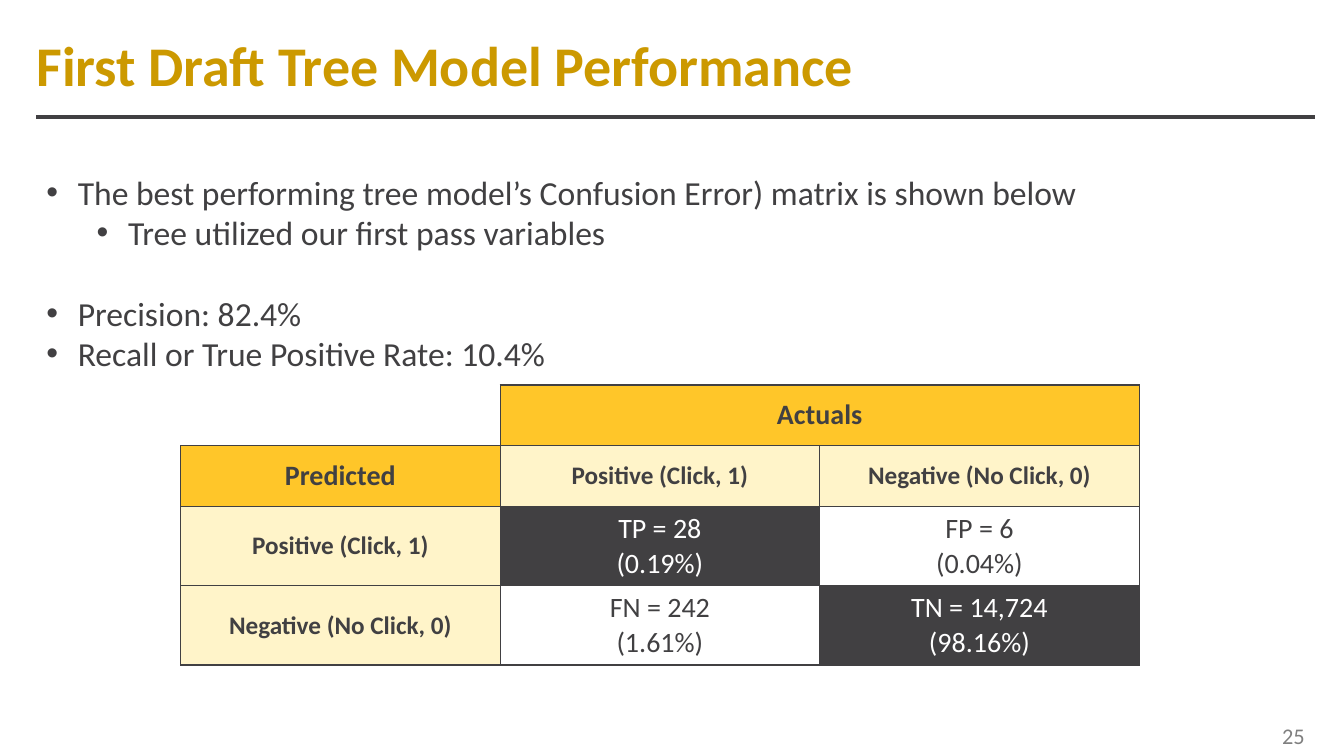
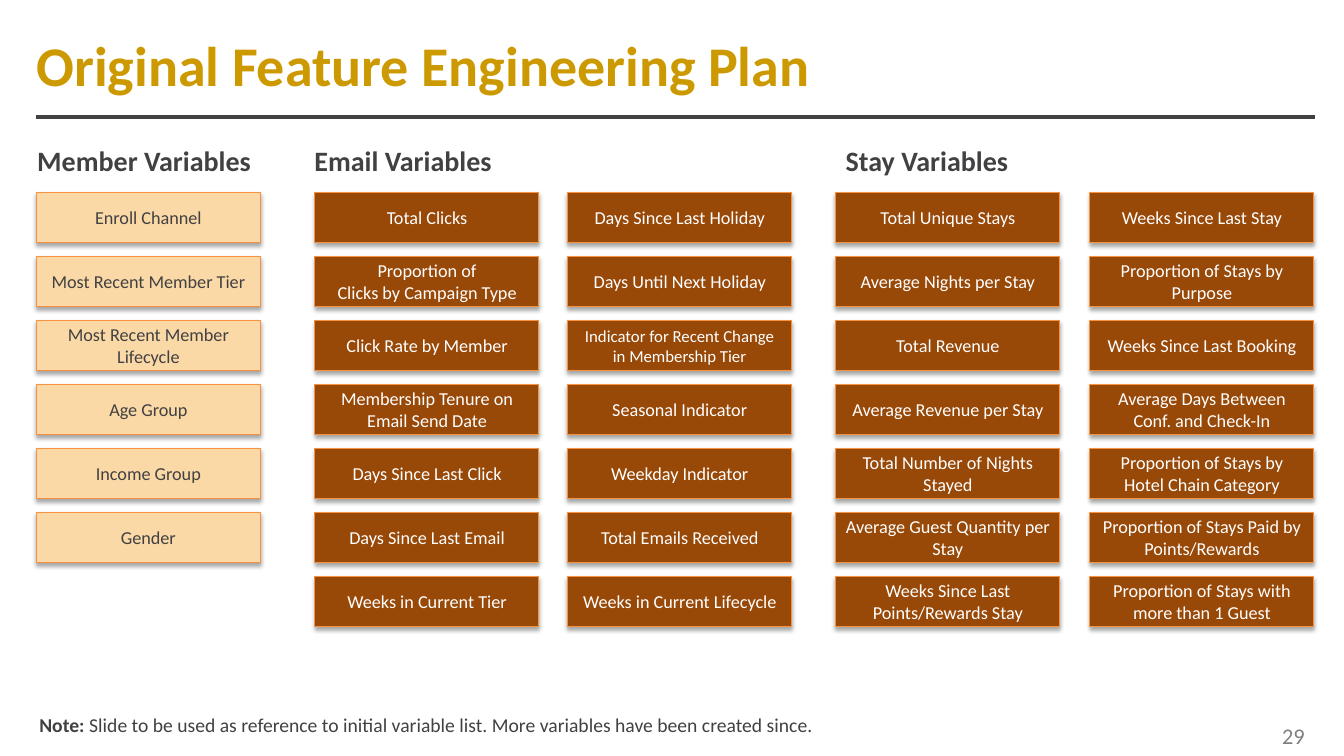
from lxml import etree
from pptx import Presentation
from pptx.dml.color import RGBColor
from pptx.enum.shapes import MSO_CONNECTOR as CONN, MSO_SHAPE as SHAPE
from pptx.enum.text import MSO_ANCHOR as ANCHOR, PP_ALIGN as ALIGN
from pptx.oxml.ns import qn
from pptx.util import Pt

FONT = "Calibri"
INK, WHITE, GRAY, GOLD = "414042", "FFFFFF", "808080", "CC9900"
AMBER, CREAM = "FFC629", "FFF4C9"
BROWN, PEACH, ORANGE = "984807", "FBD9A6", "F69240"
LEFT, RIGHT = 26, 939


def rgb(value):
    return RGBColor.from_string(value)


def child(parent, tag, **attrs):
    return etree.SubElement(parent, qn(tag), **attrs)


class Deck:
    def __init__(self):
        self.prs = Presentation()
        self.prs.slide_width, self.prs.slide_height = Pt(960), Pt(540)
        self.s = None

    def slide(self, title, number):
        self.s = self.prs.slides.add_slide(self.prs.slide_layouts[6])
        self.rule(LEFT, 83.5, RIGHT)
        tf = self.box(LEFT, 16, 805, 59, ANCHOR.MIDDLE, margin=0)
        self.run(tf.paragraphs[0], title, 40, GOLD, True)
        tf = self.box(688, 511, 251, 29, ANCHOR.MIDDLE)
        tf.paragraphs[0].alignment = ALIGN.RIGHT
        self.run(tf.paragraphs[0], number, 16, GRAY)

    def rule(self, x1, y, x2):
        line = self.s.shapes.add_connector(CONN.STRAIGHT, Pt(x1), Pt(y), Pt(x2), Pt(y))
        line.line.color.rgb = rgb(INK)
        line.line.width = Pt(3)
        child(line._element.spPr, "a:effectLst")

    def box(self, x, y, w, h, anchor=ANCHOR.TOP, margin=None):
        tf = self.s.shapes.add_textbox(Pt(x), Pt(y), Pt(w), Pt(h)).text_frame
        tf.word_wrap = True
        tf.vertical_anchor = anchor
        if margin is not None:
            tf.margin_left = tf.margin_right = Pt(margin)
            tf.margin_top = tf.margin_bottom = Pt(margin)
        return tf

    def run(self, p, text, size, color=INK, bold=False):
        for i, line in enumerate(text.split("\n")):
            if i:
                p.add_line_break()
            r = p.add_run()
            r.text = line
            r.font.name, r.font.size, r.font.bold = FONT, Pt(size), bold
            r.font.color.rgb = rgb(color)

    def label(self, x, y, w, text):
        self.run(self.box(x, y, w, 32).paragraphs[0], text, 20, bold=True)

    def bullets(self, x, y, w, h, items, size):
        tf = self.box(x, y, w, h)
        for i, (level, gap, text) in enumerate(items):
            p = tf.paragraphs[0] if i == 0 else tf.add_paragraph()
            p.level = level
            pPr = p._p.get_or_add_pPr()
            pPr.set("marL", str(Pt(22.5 + 36 * level)))
            pPr.set("indent", str(Pt(-22.5)))
            child(pPr, "a:buFont", typeface="Arial")
            child(pPr, "a:buChar", char="•")
            if gap:
                p.space_before = Pt(gap)
            self.run(p, text, size)

    def card(self, x, y, w, h, text, fill, color, size):
        sp = self.s.shapes.add_shape(SHAPE.RECTANGLE, Pt(x), Pt(y), Pt(w), Pt(h))
        sp.fill.solid()
        sp.fill.fore_color.rgb = rgb(fill)
        sp.line.color.rgb = rgb(ORANGE)
        sp.line.width = Pt(0.75)
        sp.shadow.inherit = False
        effects = sp._element.spPr.find(qn("a:effectLst"))
        shadow = child(effects, "a:outerShdw", blurRad=str(Pt(3.1)), dist=str(Pt(1.8)),
                       dir="5400000", rotWithShape="0")
        child(child(shadow, "a:srgbClr", val="000000"), "a:alpha", val="35000")
        tf = sp.text_frame
        tf.word_wrap = True
        tf.vertical_anchor = ANCHOR.MIDDLE
        p = tf.paragraphs[0]
        p.alignment = ALIGN.CENTER
        self.run(p, text, size, color)

    def table(self, x, y, col_width, heights, rows):
        count = len(rows[0])
        tbl = self.s.shapes.add_table(len(rows), count, Pt(x), Pt(y),
                                      Pt(col_width * count), Pt(sum(heights))).table
        tbl.first_row = tbl.horz_banding = False
        for col in tbl.columns:
            col.width = Pt(col_width)
        for i, (height, row) in enumerate(zip(heights, rows)):
            tbl.rows[i].height = Pt(height)
            for j, (text, fill, size, color, bold) in enumerate(row):
                cell = tbl.cell(i, j)
                self.borders(cell, "RB" if i == j == 0 else "LRTB")
                cell.fill.solid()
                cell.fill.fore_color.rgb = rgb(fill)
                cell.vertical_anchor = ANCHOR.MIDDLE
                for k, line in enumerate(text.split("\n") if text else []):
                    tf = cell.text_frame
                    p = tf.add_paragraph() if k else tf.paragraphs[0]
                    p.alignment = ALIGN.CENTER
                    self.run(p, line, size, color, bold)
        return tbl

    def borders(self, cell, sides):
        tcPr = cell._tc.get_or_add_tcPr()
        for side in "LRTB":
            ln = child(tcPr, f"a:ln{side}", w=str(Pt(1)))
            if side in sides:
                child(child(ln, "a:solidFill"), "a:srgbClr", val=INK)
            else:
                child(ln, "a:noFill")


def performance(deck):
    deck.slide("First Draft Tree Model Performance", "25")
    deck.bullets(LEFT, 119, 847, 153, [
        (0, 0, "The best performing tree model’s Confusion Error) matrix is shown below"),
        (1, 0, "Tree utilized our first pass variables"),
        (0, 29, "Precision: 82.4%"),
        (0, 0, "Recall or True Positive Rate: 10.4%"),
    ], 24)

    def head(text):
        return text, AMBER, 20, INK, True

    def category(text):
        return text, CREAM, 18, INK, True

    def hit(text):
        return text, INK, 20, WHITE, False

    def miss(text):
        return text, WHITE, 20, INK, False

    positive, negative = category("Positive (Click, 1)"), category("Negative (No Click, 0)")
    tbl = deck.table(129, 275, 228.25, [43.5, 43.5, 56.5, 56.5], [
        [miss(""), head("Actuals"), head("")],
        [head("Predicted"), positive, negative],
        [positive, hit("TP = 28\n(0.19%)"), miss("FP = 6\n(0.04%)")],
        [negative, miss("FN = 242\n(1.61%)"), hit("TN = 14,724\n(98.16%)")],
    ])
    tbl.cell(0, 1).merge(tbl.cell(0, 2))


def feature_plan(deck):
    deck.slide("Original Feature Engineering Plan", "29")
    for x, w, text in [(19.5, 171, "Member Variables"), (217.5, 221, "Email Variables"),
                       (597, 342, "Stay Variables")]:
        deck.label(x, 99, w, text)

    columns = [
        (LEFT, PEACH, INK, [
            "Enroll Channel", "Most Recent Member Tier", "Most Recent Member Lifecycle",
            "Age Group", "Income Group", "Gender"]),
        (225, BROWN, WHITE, [
            "Total Clicks", "Proportion of\nClicks by Campaign Type", "Click Rate by Member",
            "Membership Tenure on\nEmail Send Date", "Days Since Last Click",
            "Days Since Last Email", "Weeks in Current Tier"]),
        (405.5, BROWN, WHITE, [
            "Days Since Last Holiday", "Days Until Next Holiday",
            "Indicator for Recent Change\nin Membership Tier", "Seasonal Indicator",
            "Weekday Indicator", "Total Emails Received", "Weeks in Current Lifecycle"]),
        (597, BROWN, WHITE, [
            "Total Unique Stays", "Average Nights per Stay", "Total Revenue",
            "Average Revenue per Stay", "Total Number of Nights Stayed",
            "Average Guest Quantity per Stay", "Weeks Since Last Points/Rewards Stay"]),
        (778.5, BROWN, WHITE, [
            "Weeks Since Last Stay", "Proportion of Stays by Purpose",
            "Weeks Since Last Booking", "Average Days Between Conf. and Check-In",
            "Proportion of Stays by Hotel Chain Category",
            "Proportion of Stays Paid by Points/Rewards",
            "Proportion of Stays with more than 1 Guest"]),
    ]
    for x, fill, color, names in columns:
        for i, name in enumerate(names):
            size = 12 if name.startswith("Indicator") else 13
            deck.card(x, 137.5 + 45.7 * i, 160, 36, name, fill, color, size)

    p = deck.box(21, 506, 718, 24).paragraphs[0]
    deck.run(p, "Note:", 14, bold=True)
    deck.run(p, " Slide to be used as reference to initial variable list. "
                "More variables have been created since.", 14)


def main():
    deck = Deck()
    performance(deck)
    feature_plan(deck)
    deck.prs.save("out.pptx")


if __name__ == "__main__":
    main()
